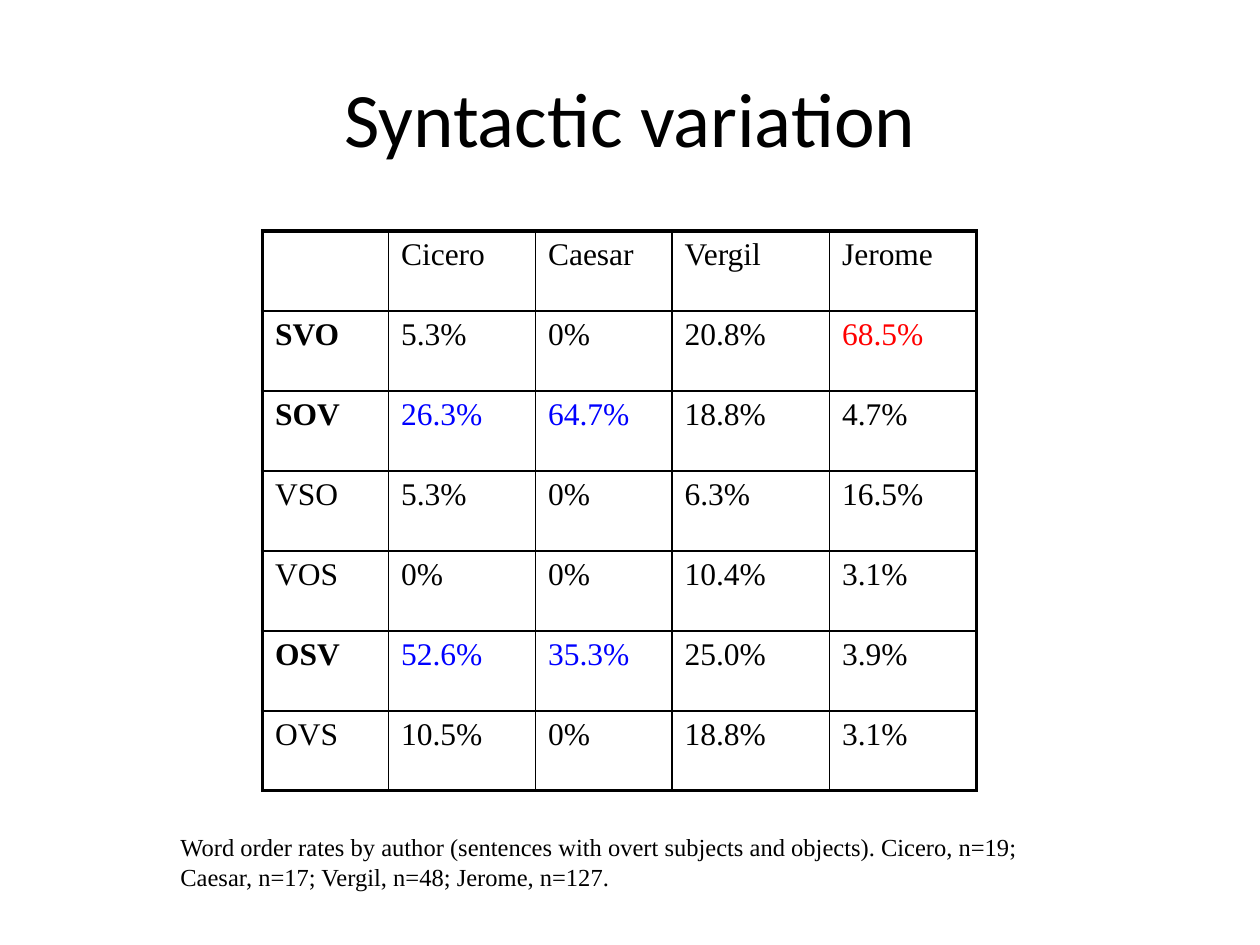
from dataclasses import dataclass
from typing import Any

from lxml import etree
from pptx import Presentation
from pptx import util as u
from pptx.dml import color
from pptx.enum import text
from pptx.oxml import ns

COLUMN_WIDTHS = [72, 84, 78, 90, 84]
ROW_HEIGHT = 45.72
ROWS = [
    ["", "Cicero", "Caesar", "Vergil", "Jerome"],
    ["SVO", "5.3%", "0%", "20.8%", "68.5%"],
    ["SOV", "26.3%", "64.7%", "18.8%", "4.7%"],
    ["VSO", "5.3%", "0%", "6.3%", "16.5%"],
    ["VOS", "0%", "0%", "10.4%", "3.1%"],
    ["OSV", "52.6%", "35.3%", "25.0%", "3.9%"],
    ["OVS", "10.5%", "0%", "18.8%", "3.1%"],
]
BOLD_LABELS = {"SVO", "SOV", "OSV"}
RED, BLUE = "FF0000", "0000FF"
HIGHLIGHTS = {(1, 4): RED, (2, 1): BLUE, (2, 2): BLUE, (5, 1): BLUE, (5, 2): BLUE}
CAPTION = (
    "Word order rates by author (sentences with overt subjects and objects). "
    "Cicero, n=19; Caesar, n=17; Vergil, n=48; Jerome, n=127."
)


def rgb(value):
    return color.RGBColor.from_string(value)


@dataclass
class SlideWriter:
    """Holds the style and the current slide, and adds elements in points."""

    slide: Any
    title_font: str = "Calibri"
    body_font: str = "Times New Roman"
    ink: str = "000000"
    inner_line: float = 1
    outer_line: float = 2.25

    def add_run(self, paragraph, words, font, size, ink=None, bold=False):
        run = paragraph.add_run()
        run.text = words
        run.font.name = font
        run.font.size = u.Pt(size)
        run.font.bold = bold
        run.font.color.rgb = rgb(ink or self.ink)

    def title(self, words, left, top, width, height):
        shape = self.slide.shapes.title
        shape.left, shape.top = u.Pt(left), u.Pt(top)
        shape.width, shape.height = u.Pt(width), u.Pt(height)
        shape.text_frame.vertical_anchor = text.MSO_ANCHOR.MIDDLE
        paragraph = shape.text_frame.paragraphs[0]
        paragraph.alignment = text.PP_ALIGN.CENTER
        self.add_run(paragraph, words, self.title_font, 44)

    def caption(self, words, left, top, width, height):
        shape = self.slide.shapes.add_textbox(
            u.Pt(left), u.Pt(top), u.Pt(width), u.Pt(height)
        )
        shape.text_frame.word_wrap = True
        shape.text_frame.auto_size = text.MSO_AUTO_SIZE.SHAPE_TO_FIT_TEXT
        self.add_run(shape.text_frame.paragraphs[0], words, self.body_font, 14)

    def borders(self, cell, outer_edges):
        properties = cell._tc.get_or_add_tcPr()
        for edge, outer in outer_edges.items():
            width = self.outer_line if outer else self.inner_line
            line = etree.SubElement(
                properties, ns.qn(f"a:ln{edge}"), w=str(int(u.Pt(width)))
            )
            fill = etree.SubElement(line, ns.qn("a:solidFill"))
            etree.SubElement(fill, ns.qn("a:srgbClr"), val=self.ink)

    def table(self, rows, widths, row_height, left, top):
        table = self.slide.shapes.add_table(
            len(rows), len(widths), u.Pt(left), u.Pt(top),
            u.Pt(sum(widths)), u.Pt(row_height * len(rows)),
        ).table
        table.first_row = table.horz_banding = False
        for column, width in zip(table.columns, widths):
            column.width = u.Pt(width)
        for r, values in enumerate(rows):
            table.rows[r].height = u.Pt(row_height)
            for c, value in enumerate(values):
                cell = table.cell(r, c)
                self.borders(cell, {
                    "L": c == 0, "R": c == len(widths) - 1,
                    "T": r == 0, "B": r == len(rows) - 1,
                })
                cell.fill.background()
                if value:
                    self.add_run(
                        cell.text_frame.paragraphs[0], value, self.body_font, 18,
                        HIGHLIGHTS.get((r, c)), value in BOLD_LABELS,
                    )


def main():
    presentation = Presentation()
    presentation.slide_width, presentation.slide_height = u.Pt(720), u.Pt(540)
    slide = presentation.slides.add_slide(presentation.slide_layouts[5])
    writer = SlideWriter(slide)
    writer.title("Syntactic variation", 36, 21.6, 648, 90)
    writer.table(ROWS, COLUMN_WIDTHS, ROW_HEIGHT, 150, 132)
    writer.caption(CAPTION, 96, 472, 504, 41)
    presentation.save("out.pptx")


if __name__ == "__main__":
    main()
